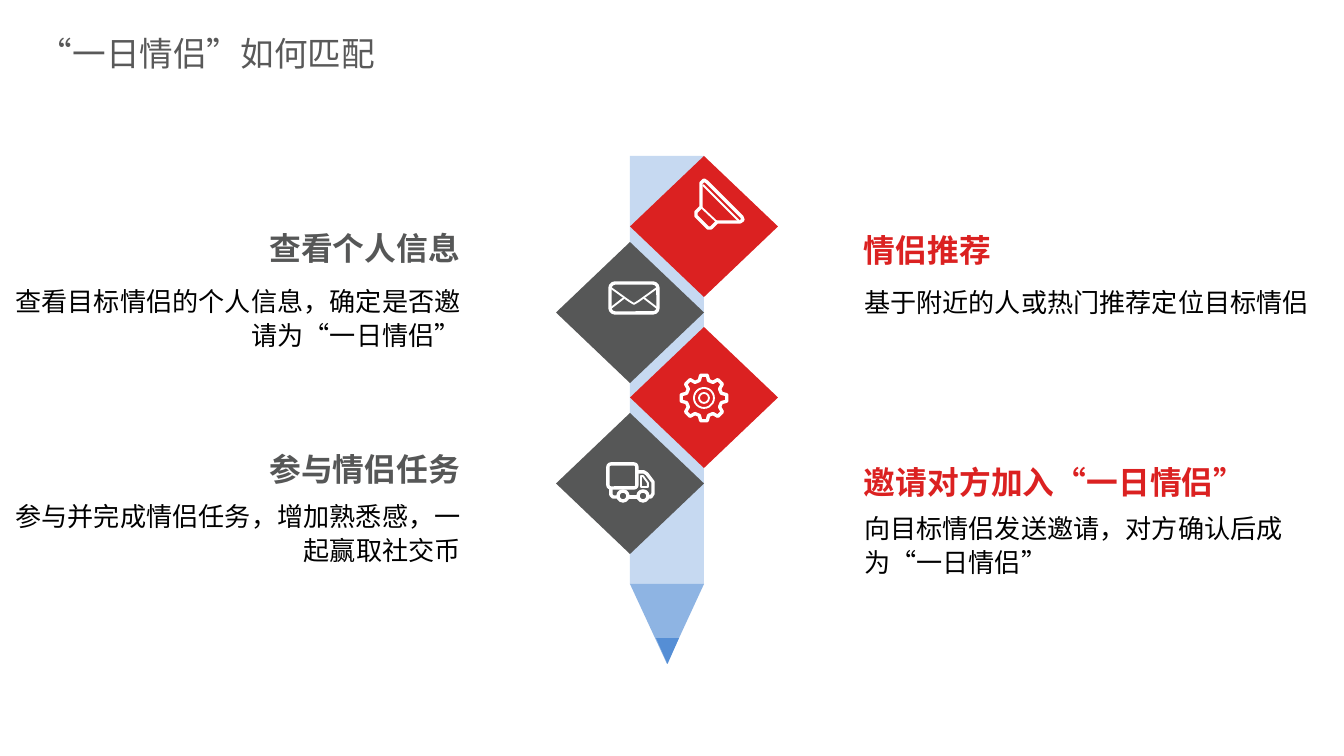
"""Build the slide on how one-day couples are matched."""
from dataclasses import dataclass
from math import cos, radians, sin

from lxml import etree
from pptx import Presentation
from pptx.dml.color import RGBColor
from pptx.enum import lang, shapes, text
from pptx.oxml.ns import qn
from pptx.util import Pt

PX = 914400 / 134.4
SHAPE = shapes.MSO_SHAPE
ANCHOR = text.MSO_ANCHOR
ALIGN = text.PP_ALIGN


@dataclass(frozen=True)
class Theme:
    """Colours, fonts, type sizes and icon line widths."""
    red: str = "DB2121"
    gray: str = "565757"
    title: str = "595959"
    black: str = "000000"
    white: str = "FFFFFF"
    shaft: str = "C6D9F1"
    wood: str = "8EB4E3"
    lead: str = "558ED5"
    cjk: str = "Noto Sans CJK SC"
    latin: str = "Calibri"
    title_size: int = 18
    heading_size: int = 17
    body_size: int = 14
    thick: float = 1.8
    thin: float = 1.0


THEME = Theme()


def px(*lengths):
    """Turn pixel lengths into EMU."""
    return [round(length * PX) for length in lengths]


def apply(target, values):
    """Set each format value on the target."""
    for name, value in values.items():
        setattr(target, name, value)


def add_block(slide, kind, box, color, rotation=0):
    """Add a filled preset shape without a line."""
    block = slide.shapes.add_shape(kind, *px(*box))
    block.shadow.inherit = False
    block.rotation = rotation
    block.fill.solid()
    block.fill.fore_color.rgb = RGBColor.from_string(color)
    block.line.fill.background()


def draw_white(line, width):
    """Give a line the white icon stroke."""
    line.color.rgb = RGBColor.from_string(THEME.white)
    line.width = Pt(width)


def add_outline(slide, kind, box, width=THEME.thick, corner=None):
    """Add an unfilled preset shape with a white line."""
    outline = slide.shapes.add_shape(kind, *px(*box))
    outline.shadow.inherit = False
    outline.fill.background()
    draw_white(outline.line, width)
    if corner is not None:
        outline.adjustments[0] = corner


def add_ring(slide, center, radius, width=THEME.thick):
    """Add a white circle around a center."""
    x, y = center
    box = (x - radius, y - radius, 2 * radius, 2 * radius)
    add_outline(slide, SHAPE.OVAL, box, width)


def add_stroke(slide, points, width=THEME.thick, close=False):
    """Add a white path through the points."""
    start, *rest = [px(*point) for point in points]
    builder = slide.shapes.build_freeform(*start, scale=1.0)
    builder.add_line_segments(rest, close=close)
    stroke = builder.convert_to_shape()
    stroke.shadow.inherit = False
    stroke.fill.background()
    draw_white(stroke.line, width)


def add_segment(slide, ends, width=THEME.thick):
    """Add a straight white line between two points."""
    segment = slide.shapes.add_connector(shapes.MSO_CONNECTOR.STRAIGHT, *px(*ends))
    etree.SubElement(segment._element.spPr, qn("a:effectLst"))
    draw_white(segment.line, width)


def add_text(slide, box, words, frame, paragraph, font, color, inset=0):
    """Add a text box holding one paragraph."""
    holder = slide.shapes.add_textbox(*px(*box)).text_frame
    margins = {"margin_left": 0, "margin_right": 0,
               "margin_top": Pt(inset), "margin_bottom": Pt(inset)}
    apply(holder, {"word_wrap": True, **margins, **frame})
    line = holder.paragraphs[0]
    apply(line, paragraph)
    run = line.add_run()
    run.text = words
    apply(run.font, {"language_id": lang.MSO_LANGUAGE_ID.SIMPLIFIED_CHINESE, **font})
    run.font.color.rgb = RGBColor.from_string(color)
    etree.SubElement(run.font._element, qn("a:ea"), typeface=THEME.cjk)


def add_step(slide, heading, body, color, face, align, anchors, places, spacing):
    """Add the heading and the description of one step."""
    heading_left, heading_top, heading_width, body_left, body_top = places
    heading_anchor, body_anchor = anchors
    add_text(slide, (heading_left, heading_top, heading_width, 34), heading,
             {"vertical_anchor": heading_anchor}, {"alignment": align},
             {"name": face, "size": Pt(THEME.heading_size), "bold": True}, color)
    add_text(slide, (body_left, body_top, 453, 71), body,
             {"vertical_anchor": body_anchor},
             {"alignment": align, "line_spacing": spacing},
             {"name": THEME.cjk, "size": Pt(THEME.body_size)}, THEME.black)


def add_pencil(slide):
    """Add the pencil and the four diamonds along it."""
    add_block(slide, SHAPE.RECTANGLE, (630, 156, 74, 428), THEME.shaft)
    add_block(slide, SHAPE.ISOSCELES_TRIANGLE, (630, 584, 74, 80), THEME.wood, 180)
    add_block(slide, SHAPE.ISOSCELES_TRIANGLE, (656, 638, 23, 26), THEME.lead, 180)
    sides = ((630, THEME.red), (556, THEME.gray))
    for step in range(4):
        left, color = sides[step % 2]
        top = 156 + round(step * 257 / 3)
        add_block(slide, SHAPE.DIAMOND, (left, top, 148, 141), color)


def add_speaker(slide):
    """Draw the loudspeaker icon."""
    add_stroke(slide, [(701, 207), (701, 183), (704, 180), (707, 182), (742, 217),
                       (743, 220), (740, 222), (717, 222), (711, 228), (708, 228),
                       (696, 216), (696, 212)], close=True)
    add_segment(slide, (703, 185, 739, 221), THEME.thin)
    add_segment(slide, (701, 207, 717, 222), THEME.thin)


def add_envelope(slide):
    """Draw the envelope icon."""
    add_outline(slide, SHAPE.ROUNDED_RECTANGLE, (610, 283, 48, 30), corner=0.17)
    add_stroke(slide, [(611, 288), (629, 301), (634, 304), (639, 301), (657, 288)],
               THEME.thin)
    for corner, flap in ((611, 624), (657, 644)):
        add_segment(slide, (corner, 308, flap, 298), THEME.thin)


def add_gear(slide):
    """Draw the eight-toothed gear icon."""
    center = x, y = 704, 398
    tooth = ((23, -8), (23, 8), (18, 15), (18, 30))
    rim = [(x + radius * sin(radians(turn + angle)), y - radius * cos(radians(turn + angle)))
           for turn in range(0, 360, 45) for radius, angle in tooth]
    add_stroke(slide, rim, close=True)
    for radius in (10, 5):
        add_ring(slide, center, radius, THEME.thin)


def add_truck(slide):
    """Draw the delivery truck icon."""
    add_outline(slide, SHAPE.ROUNDED_RECTANGLE, (608, 464, 29, 24), corner=0.12)
    add_stroke(slide, [(637, 472), (644, 472), (647, 474), (653, 482), (653, 494),
                       (651, 497), (648, 497)])
    add_stroke(slide, [(641, 476), (643, 476), (648, 483), (648, 487), (641, 487)],
               THEME.thin, close=True)
    add_stroke(slide, [(611, 488), (611, 495), (613, 497), (618, 497)])
    add_segment(slide, (628, 497, 638, 497))
    for wheel in (623, 643):
        add_ring(slide, (wheel, 496), 5)


def main():
    """Build and save the slide."""
    deck = Presentation()
    deck.slide_width, deck.slide_height = px(1344, 756)
    slide = deck.slides.add_slide(deck.slide_layouts[6])
    add_pencil(slide)
    for draw_icon in (add_speaker, add_envelope, add_gear, add_truck):
        draw_icon(slide)
    left = (ALIGN.RIGHT, (ANCHOR.BOTTOM, ANCHOR.TOP))
    right = (ALIGN.LEFT, (ANCHOR.MIDDLE, ANCHOR.MIDDLE))
    steps = (
        ("查看个人信息", "查看目标情侣的个人信息，确定是否邀请为“一日情侣”",
         THEME.gray, THEME.cjk, *left, (250, 233, 210, 8, 282), 1.1),
        ("参与情侣任务", "参与并完成情侣任务，增加熟悉感，一起赢取社交币",
         THEME.gray, THEME.latin, *left, (250, 454, 210, 8, 497), 1.1),
        ("情侣推荐", "基于附近的人或热门推荐定位目标情侣",
         THEME.red, THEME.cjk, *right, (864, 233, 169, 864, 263), 1.2),
        ("邀请对方加入“一日情侣”", "向目标情侣发送邀请，对方确认后成为“一日情侣”",
         THEME.red, THEME.latin, *right, (864, 465, 420, 864, 508), 1.1),
    )
    for step in steps:
        add_step(slide, *step)
    add_text(slide, (39, 25, 391, 56), "“一日情侣”如何匹配",
             {"vertical_anchor": ANCHOR.MIDDLE}, {},
             {"name": THEME.cjk, "size": Pt(THEME.title_size)}, THEME.title, 3.6)
    deck.save("out.pptx")


if __name__ == "__main__":
    main()
